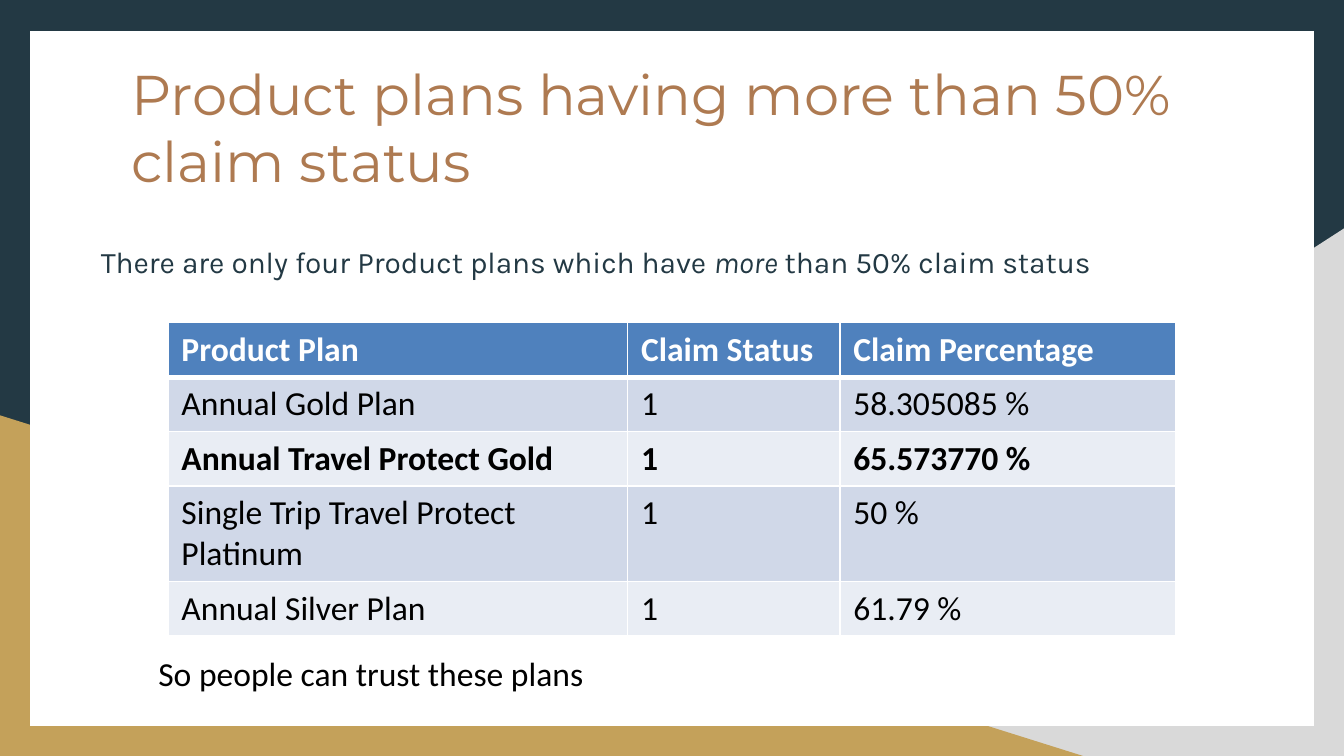
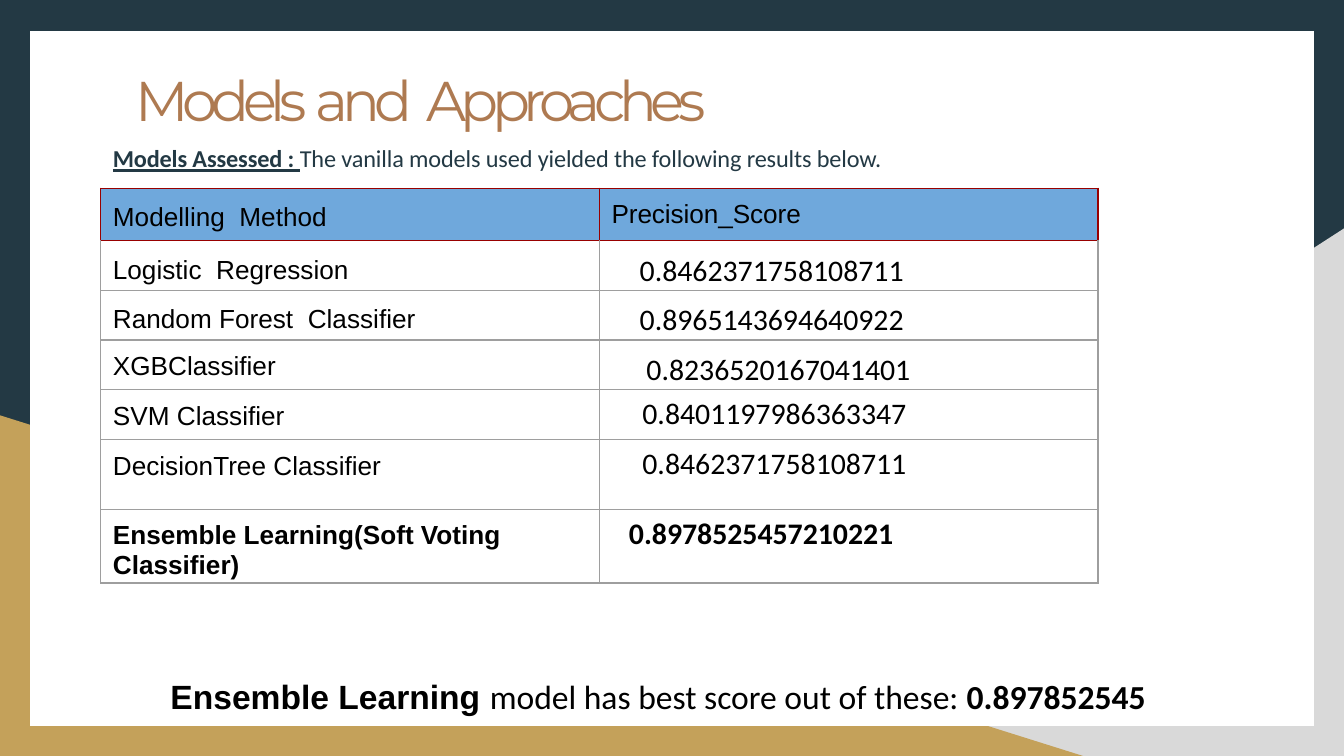
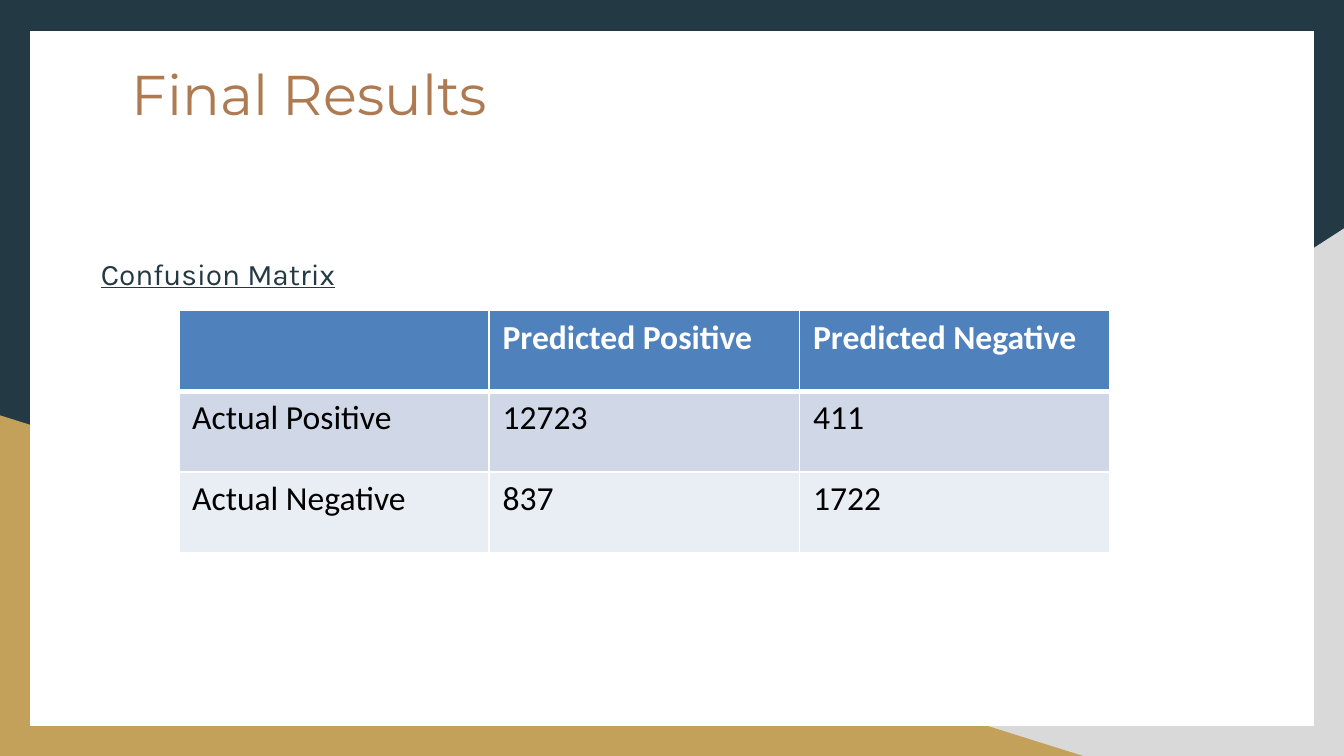
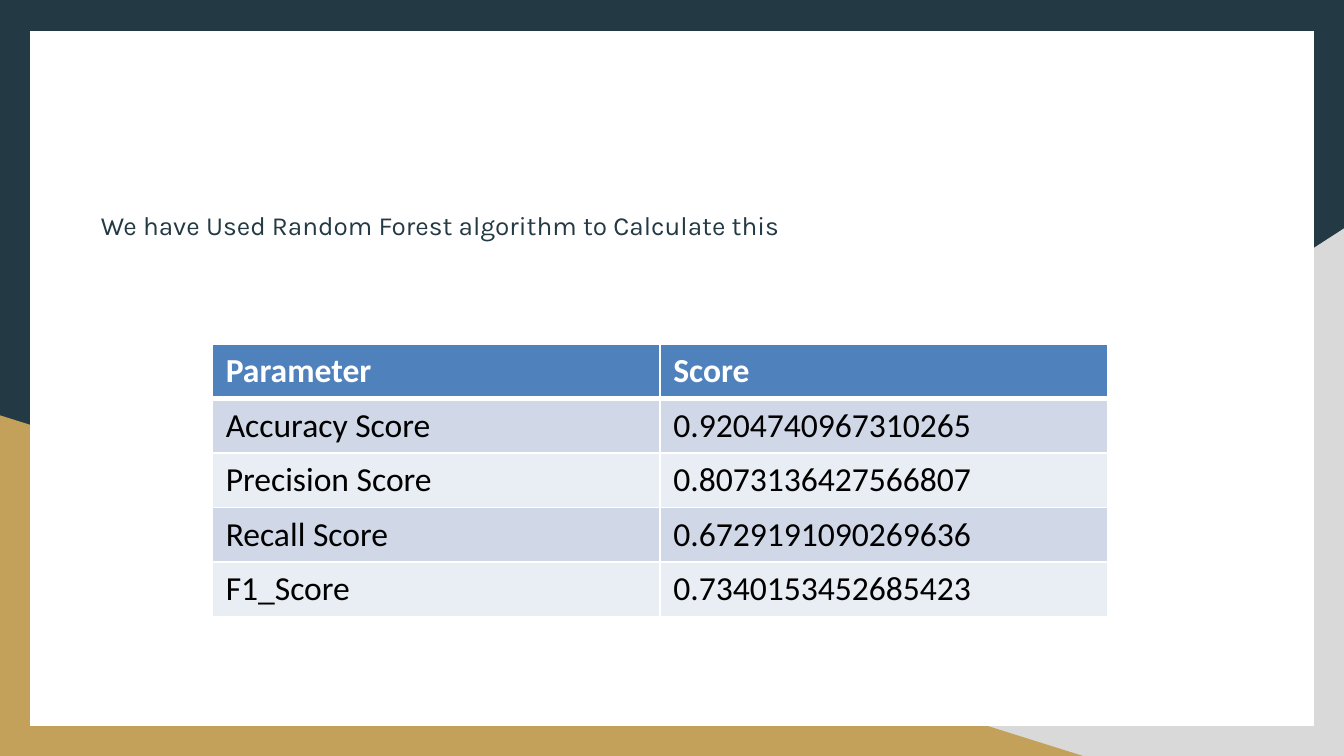
"""Build four slides on travel insurance claims and model scores."""
from dataclasses import dataclass
from typing import Optional, Sequence

from lxml.etree import SubElement
from pptx import Presentation
from pptx.dml.color import RGBColor
from pptx.enum.text import MSO_ANCHOR as Anchor, MSO_AUTO_SIZE as AutoSize, PP_ALIGN as Align
from pptx.oxml.ns import qn
from pptx.util import Inches, Pt

COLORS = {
    "navy": "233944", "grey": "D9D9D9", "gold": "C4A15A", "white": "FFFFFF",
    "title": "AE7A51", "black": "000000", "header": "4F81BD",
    "odd_row": "D0D8E8", "even_row": "E9EDF4", "score_header": "6FA8DC",
    "score_border": "9E9E9E", "score_header_border": "980000",
}
WIDTH = 10
HEIGHT = WIDTH * 9 / 16
TITLE_ONLY, BLANK = 5, 6
NO_INSETS = (0, 0, 0, 0)
BOX_INSETS = (0.1, 0.05, 0.1, 0.05)


@dataclass(frozen=True)
class Panel:
    color: str
    points: tuple


@dataclass(frozen=True)
class Box:
    left: float
    top: float
    width: float
    height: float


@dataclass(frozen=True)
class Style:
    font: str
    size: float
    color: str
    bold: bool = False
    italic: bool = False
    underline: bool = False
    tracking: float = 0


@dataclass(frozen=True)
class Span:
    text: str
    style: Style


@dataclass(frozen=True)
class Layout:
    indent: float = 0
    before: float = 0
    line: Optional[float] = None


@dataclass(frozen=True)
class Score:
    method: str
    value: str
    indent: float
    height: float = 0.37
    method_line: Optional[float] = None
    value_line: Optional[float] = None
    bold: bool = False


PANELS = (
    Panel("navy", ((0, 0), (WIDTH, 0), (WIDTH, HEIGHT), (0, HEIGHT))),
    Panel("grey", ((WIDTH, HEIGHT), (3.92, HEIGHT), (WIDTH, 1.7))),
    Panel("gold", ((8.06, HEIGHT), (0, HEIGHT), (0, 3.09))),
    Panel("white", ((0.22, 0.23), (9.78, 0.23), (9.78, 5.4), (0.22, 5.4))),
)
TITLE = Style("Montserrat", 30, "title")
BODY = Style("Karla", 16, "navy")
CAPTION = Style("Calibri", 18, "black")
SCORES = (
    Score("Logistic  Regression", "0.8462371758108711", 0.3, method_line=16.5),
    Score("Random Forest  Classifier", "0.8965143694640922", 0.3, method_line=16.5),
    Score("XGBClassifier", "0.8236520167041401", 0.35),
    Score("SVM Classifier", "0.8401197986363347", 0.32, value_line=16.6),
    Score("DecisionTree Classifier", "0.8462371758108711", 0.32, 0.52, value_line=16.6),
    Score("Ensemble Learning(Soft Voting Classifier)", "0.8978525457210221", 0.22, 0.55,
          value_line=16.6, bold=True),
)


def rgb(name: str) -> RGBColor:
    """Return the named colour."""
    return RGBColor.from_string(COLORS[name])


def place(shape, box: Box) -> None:
    """Move and size a shape."""
    shape.left, shape.top = Inches(box.left), Inches(box.top)
    shape.width, shape.height = Inches(box.width), Inches(box.height)


def format_run(run, style: Style) -> None:
    """Apply a text style to a run."""
    font = run.font
    font.name, font.size, font.color.rgb = style.font, Pt(style.size), rgb(style.color)
    font.bold, font.italic, font.underline = style.bold, style.italic, style.underline
    if style.tracking:
        run._r.get_or_add_rPr().set("spc", str(round(style.tracking * 100)))


def write(paragraph, spans: Sequence[Span], layout: Layout = Layout()) -> None:
    """Fill a paragraph with styled spans."""
    paragraph.alignment = Align.LEFT
    paragraph.space_before = Pt(layout.before)
    if layout.line:
        paragraph.line_spacing = Pt(layout.line)
    if layout.indent:
        paragraph._p.get_or_add_pPr().set("marL", str(Inches(layout.indent)))
    for span in spans:
        run = paragraph.add_run()
        run.text = span.text
        format_run(run, span.style)


def fill_frame(shape, box: Box, spans: Sequence[Span], insets=NO_INSETS,
               layout: Layout = Layout()) -> None:
    """Place a text shape and write its only paragraph."""
    place(shape, box)
    frame = shape.text_frame
    frame.word_wrap, frame.auto_size = True, AutoSize.NONE
    frame.vertical_anchor = Anchor.TOP
    (frame.margin_left, frame.margin_top,
     frame.margin_right, frame.margin_bottom) = map(Inches, insets)
    write(frame.paragraphs[0], spans, layout)


def add_text(slide, box: Box, spans: Sequence[Span], insets=NO_INSETS,
             layout: Layout = Layout()) -> None:
    """Add a text box."""
    shape = slide.shapes.add_textbox(0, 0, 0, 0)
    fill_frame(shape, box, spans, insets, layout)


def add_panels(slide) -> None:
    """Draw the framing panels and move them to the slide master."""
    tree = slide.slide_layout.slide_master.element.cSld.spTree
    for index, panel in enumerate(PANELS):
        start, *others = [(Inches(x), Inches(y)) for x, y in panel.points]
        builder = slide.shapes.build_freeform(*start)
        builder.add_line_segments(others, close=True)
        shape = builder.convert_to_shape()
        shape.shadow.inherit = False
        shape.fill.solid()
        shape.fill.fore_color.rgb = rgb(panel.color)
        shape.line.fill.background()
        shape.element.nvSpPr.cNvPr.set("id", str(100 + index))
        tree.insert(2 + index, shape.element)


def paint_cell(cell, fill: str, borders: dict) -> None:
    """Set the borders (side to colour and width) and fill of a cell."""
    properties = cell._tc.get_or_add_tcPr()
    for side in "LRTB":
        color, width = borders[side]
        line = SubElement(properties, qn(f"a:ln{side}"), w=str(Pt(width)))
        solid = SubElement(line, qn("a:solidFill"))
        SubElement(solid, qn("a:srgbClr"), val=COLORS[color])
    cell.fill.solid()
    cell.fill.fore_color.rgb = rgb(fill)


def add_grid(slide, left: float, top: float, widths: Sequence[float],
             heights: Sequence[float]):
    """Add a table without banding and return it."""
    box = Box(left, top, sum(widths), sum(heights))
    shape = slide.shapes.add_table(len(heights), len(widths), 0, 0, 0, 0)
    place(shape, box)
    table = shape.table
    table.horz_banding = False
    for column, width in zip(table.columns, widths):
        column.width = Inches(width)
    for row, height in zip(table.rows, heights):
        row.height = Inches(height)
    return table


def add_banded_table(slide, left: float, top: float, widths: Sequence[float], height: float,
                     rows: Sequence[Sequence[str]], bold_row: int = 0) -> None:
    """Add a table with a blue header and alternating rows."""
    table = add_grid(slide, left, top, widths, [height] * len(rows))
    for index, values in enumerate(rows):
        header = index == 0
        fill = "header" if header else "odd_row" if index % 2 else "even_row"
        style = Style("Calibri", 18, "white" if header else "black", index in (0, bold_row))
        borders = dict.fromkeys("LRTB", ("white", 1))
        if index < 2:
            borders["B" if header else "T"] = ("white", 3)
        for column, value in enumerate(values):
            cell = table.cell(index, column)
            paint_cell(cell, fill, borders)
            if value:
                write(cell.text_frame.paragraphs[0], [Span(value, style)])


def fill_score_cell(cell, span: Span, layout: Layout, top: float, header: bool,
                    below_header: bool) -> None:
    """Write and paint one cell of the model score table."""
    cell.margin_left = cell.margin_right = cell.margin_bottom = 0
    cell.margin_top = Inches(top)
    edge = ("score_header_border", 0.75)
    borders = dict.fromkeys("LRTB", edge if header else ("score_border", 0.75))
    if below_header:
        borders["T"] = edge
    paint_cell(cell, "score_header" if header else "white", borders)
    write(cell.text_frame.paragraphs[0], [span], layout)


def add_score_table(slide) -> None:
    """Add the table of models and their precision."""
    heights = [0.39] + [score.height for score in SCORES]
    table = add_grid(slide, 0.75, 1.4, (3.71, 3.71), heights)
    tight, loose = Layout(0.09, 7, 16.5), Layout(0.09, 6.2)
    label = Style("Arial", 14, "black")
    fill_score_cell(table.cell(0, 0), Span("Modelling  Method", label), tight, 0.1, True, False)
    fill_score_cell(table.cell(0, 1),
                    Span("Precision_Score", Style("Arial", 14, "black", tracking=-0.05)),
                    loose, 0.09, True, False)
    for index, score in enumerate(SCORES, 1):
        method = Span(score.method, Style("Arial", 14, "black", score.bold))
        value = Span(score.value, Style("Calibri", 16, "black", score.bold))
        fill_score_cell(table.cell(index, 0), method, tight if score.method_line else loose,
                        0.1 if score.method_line else 0.09, False, index == 1)
        fill_score_cell(table.cell(index, 1), value, Layout(score.indent, line=score.value_line),
                        0.09, False, index == 1)


def add_plans(presentation) -> None:
    """Add the slide on product plans."""
    slide = presentation.slides.add_slide(presentation.slide_layouts[TITLE_ONLY])
    add_panels(slide)
    fill_frame(slide.shapes.title, Box(0.98, 0.44, 8.05, 1.01),
               [Span("Product plans having more than 50% claim status", TITLE)])
    add_text(slide, Box(0.75, 1.81, 8.61, 0.47), [
        Span("There are only four Product plans which have ", BODY),
        Span("more", Style("Karla", 16, "navy", italic=True)),
        Span(" than 50% claim status", BODY),
    ])
    add_banded_table(slide, 1.25, 2.4, (3.42, 1.58, 2.5), 0.4, (
        ("Product Plan", "Claim Status", "Claim Percentage"),
        ("Annual Gold Plan", "1", "58.305085 %"),
        ("Annual Travel Protect Gold", "1", "65.573770 %"),
        ("Single Trip Travel Protect Platinum", "1", "50 %"),
        ("Annual Silver Plan", "1", "61.79 %"),
    ), bold_row=2)
    add_text(slide, Box(1.08, 4.81, 6.67, 0.42),
             [Span("So people can trust these plans", CAPTION)], BOX_INSETS)


def add_models(presentation) -> None:
    """Add the slide on model precision."""
    slide = presentation.slides.add_slide(presentation.slide_layouts[TITLE_ONLY])
    insets, layout = (0, 0.01, 0, 0), Layout(0.01, 1)
    words = (("Models ", -3.4), ("and", -3.2), (" ", 0), ("Approaches", -3.4))
    fill_frame(slide.shapes.title, Box(1, 0.48, 4.52, 0.53),
               [Span(text, Style("Montserrat", 30, "title", tracking=tracking))
                for text, tracking in words], insets, layout)
    add_text(slide, Box(0.83, 1.06, 5.87, 0.24), [
        Span("Models Assessed ", Style("Calibri", 13, "navy", True, underline=True, tracking=-0.05)),
        Span(": ", Style("Calibri", 13, "navy", True, underline=True)),
        Span("The vanilla models used yielded the following results below.",
             Style("Calibri", 13, "navy", tracking=-0.05)),
    ], insets, layout)
    add_score_table(slide)
    add_text(slide, Box(1.17, 4.98, 7.58, 0.4), [
        Span("Ensemble Learning ", Style("Arial", 18, "black", True)),
        Span("model has best score out of these: ", CAPTION),
        Span("0.897852545", Style("Calibri", 18, "black", True)),
    ], BOX_INSETS)


def add_results(presentation) -> None:
    """Add the confusion matrix slide."""
    slide = presentation.slides.add_slide(presentation.slide_layouts[TITLE_ONLY])
    fill_frame(slide.shapes.title, Box(0.98, 0.44, 8.05, 0.5), [Span("Final Results", TITLE)])
    add_text(slide, Box(0.75, 1.9, 8.61, 0.27),
             [Span("Confusion Matrix", Style("Karla", 16, "navy", underline=True))])
    add_banded_table(slide, 1.33, 2.31, [2.31] * 3, 0.6, (
        ("", "Predicted Positive", "Predicted Negative"),
        ("Actual Positive", "12723", "411"),
        ("Actual Negative", "837", "1722"),
    ))


def add_parameters(presentation) -> None:
    """Add the slide of final scores."""
    slide = presentation.slides.add_slide(presentation.slide_layouts[BLANK])
    add_text(slide, Box(0.75, 1.56, 8.61, 0.24),
             [Span("We have Used Random Forest algorithm to Calculate this",
                   Style("Karla", 14, "navy"))])
    add_banded_table(slide, 1.58, 2.56, [3.33] * 2, 0.4, (
        ("Parameter", "Score"),
        ("Accuracy Score", "0.9204740967310265"),
        ("Precision Score", "0.8073136427566807"),
        ("Recall Score", "0.6729191090269636"),
        ("F1_Score", "0.7340153452685423"),
    ))


def main() -> None:
    """Build and save the presentation."""
    presentation = Presentation()
    presentation.slide_width, presentation.slide_height = Inches(WIDTH), Inches(HEIGHT)
    for add_page in (add_plans, add_models, add_results, add_parameters):
        add_page(presentation)
    presentation.save("out.pptx")


main()
